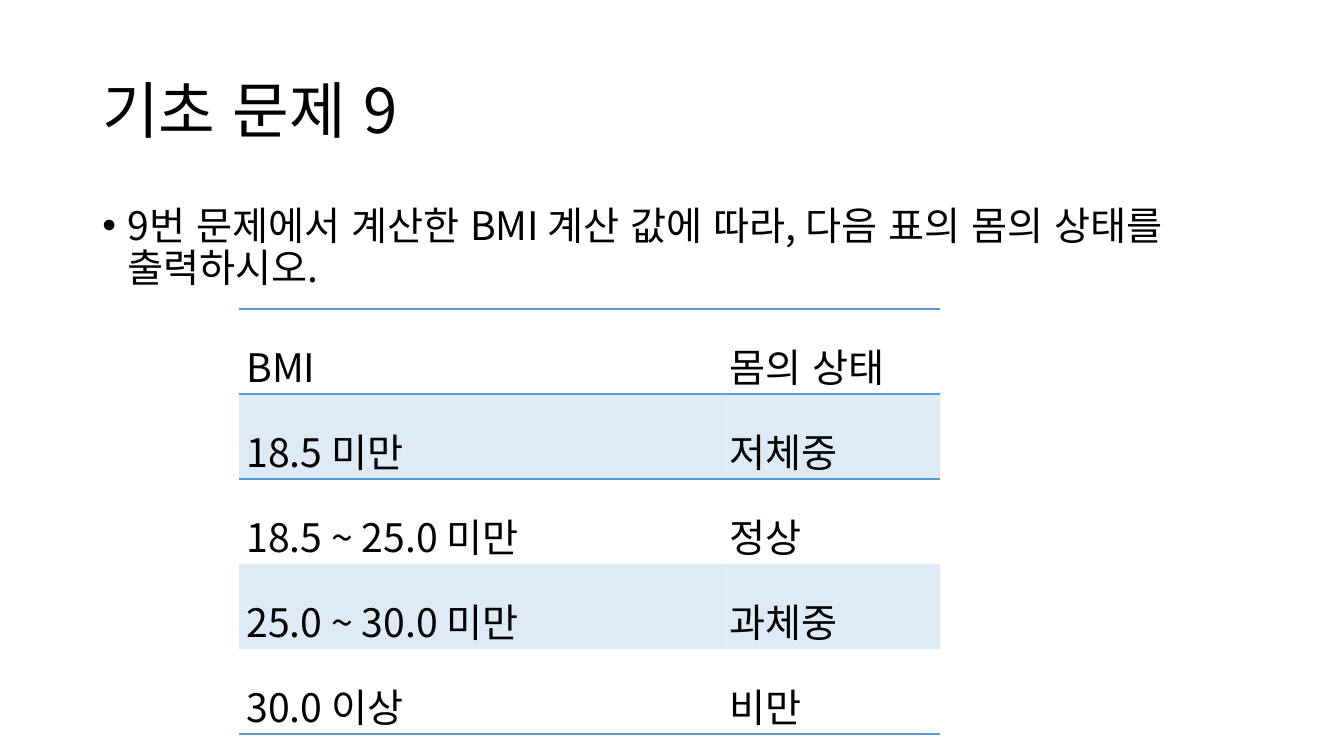
"""Build a slide that lists body conditions by BMI range."""
from dataclasses import dataclass
from typing import Optional

from lxml import etree
from pptx import Presentation
from pptx.dml.color import RGBColor
from pptx.enum.lang import MSO_LANGUAGE_ID
from pptx.enum.text import MSO_ANCHOR, PP_ALIGN
from pptx.oxml.ns import qn
from pptx.util import Pt

KOREAN = MSO_LANGUAGE_ID.KOREAN
MIDDLE = MSO_ANCHOR.MIDDLE
TOP = MSO_ANCHOR.TOP
JUSTIFY = PP_ALIGN.JUSTIFY
LEFT = PP_ALIGN.LEFT
NO_TABLE_STYLE = "{2D5ABB26-0587-4C30-8999-92F81FD0307C}"


@dataclass(frozen=True)
class Theme:
    font: str = "Noto Sans CJK KR"
    text: str = "000000"
    accent: str = "5B9BD5"
    band_opacity: int = 20
    title_size: float = 44
    body_size: float = 28
    rule_width: float = 1.5


@dataclass(frozen=True)
class TextBlock:
    text: str
    top: float
    height: float
    size: float
    anchor: MSO_ANCHOR
    bullet: Optional[str] = None


@dataclass(frozen=True)
class BmiRow:
    bmi: str
    condition: str
    edges: tuple = ()
    banded: bool = False


THEME = Theme()
TEXT_LEFT, TEXT_WIDTH, BULLET_INDENT = 66, 828, 18
TABLE_LEFT, TABLE_TOP, ROW_HEIGHT = 170.7, 220.7, 60.7
COLUMN_WIDTHS = (345, 156)
CELL_MARGIN = 5.4

TEXT_BLOCKS = (
    TextBlock("기초 문제 9", 28.8, 104.4, THEME.title_size, MIDDLE),
    TextBlock("9번 문제에서 계산한 BMI 계산 값에 따라, 다음 표의 몸의 상태를 출력하시오.",
              143.75, 342.6, THEME.body_size, TOP, "•"),
)
BMI_ROWS = (
    BmiRow("BMI", "몸의 상태", edges=("a:lnT", "a:lnB")),
    BmiRow("18.5 미만", "저체중", edges=("a:lnT",), banded=True),
    BmiRow("18.5 ~ 25.0 미만", "정상"),
    BmiRow("25.0 ~ 30.0 미만", "과체중", banded=True),
    BmiRow("30.0 이상", "비만", edges=("a:lnB",)),
)


def write_text(text_frame, text: str, *, size: float, line_spacing: float,
               alignment: PP_ALIGN = LEFT, bullet: Optional[str] = None) -> None:
    """Write one formatted paragraph into a text frame."""
    paragraph = text_frame.paragraphs[0]
    if bullet:
        properties = paragraph._p.get_or_add_pPr()
        properties.set("marL", str(Pt(BULLET_INDENT)))
        properties.set("indent", str(-Pt(BULLET_INDENT)))
        etree.SubElement(properties, qn("a:buFont"), typeface="Arial")
        etree.SubElement(properties, qn("a:buChar"), char=bullet)
    paragraph.alignment = alignment
    paragraph.line_spacing = line_spacing
    run = paragraph.add_run()
    run.text = text
    run.font.size = Pt(size)
    run.font.name = THEME.font
    run.font.language_id = KOREAN
    run.font.color.rgb = RGBColor.from_string(THEME.text)
    etree.SubElement(run._r.get_or_add_rPr(), qn("a:ea"), typeface=THEME.font)


def add_text_block(slide, block: TextBlock) -> None:
    """Add a wrapped text box for a title or body text."""
    shape = slide.shapes.add_textbox(Pt(TEXT_LEFT), Pt(block.top), Pt(TEXT_WIDTH), Pt(block.height))
    shape.text_frame.word_wrap = True
    shape.text_frame.vertical_anchor = block.anchor
    write_text(shape.text_frame, block.text, size=block.size, line_spacing=0.9, bullet=block.bullet)


def add_cell_edge(cell, edge: str) -> None:
    """Draw one accent-coloured border on a cell."""
    line = etree.SubElement(cell._tc.get_or_add_tcPr(), qn(edge), w=str(Pt(THEME.rule_width)))
    fill = etree.SubElement(line, qn("a:solidFill"))
    etree.SubElement(fill, qn("a:srgbClr"), val=THEME.accent)
    etree.SubElement(line, qn("a:prstDash"), val="solid")


def format_cell(cell, text: str, row: BmiRow) -> None:
    """Fill in one table cell with its text, borders and band."""
    cell.margin_left = cell.margin_right = Pt(CELL_MARGIN)
    cell.margin_top = cell.margin_bottom = Pt(0)
    write_text(cell.text_frame, text, size=THEME.body_size, line_spacing=1.5, alignment=JUSTIFY)
    for edge in row.edges:
        add_cell_edge(cell, edge)
    if row.banded:
        cell.fill.solid()
        cell.fill.fore_color.rgb = RGBColor.from_string(THEME.accent)
        color = cell._tc.tcPr.find(qn("a:solidFill")).find(qn("a:srgbClr"))
        etree.SubElement(color, qn("a:alpha"), val=str(THEME.band_opacity * 1000))
    else:
        cell.fill.background()


def add_bmi_table(slide) -> None:
    """Add the table of BMI ranges and body conditions."""
    table = slide.shapes.add_table(
        len(BMI_ROWS), len(COLUMN_WIDTHS), Pt(TABLE_LEFT), Pt(TABLE_TOP),
        Pt(sum(COLUMN_WIDTHS)), Pt(ROW_HEIGHT * len(BMI_ROWS))).table
    table.horz_banding = False
    table._tbl.tblPr.find(qn("a:tableStyleId")).text = NO_TABLE_STYLE
    for column, width in zip(table.columns, COLUMN_WIDTHS):
        column.width = Pt(width)
    for table_row, row in zip(table.rows, BMI_ROWS):
        for cell, text in zip(table_row.cells, (row.bmi, row.condition)):
            format_cell(cell, text, row)


def main() -> None:
    """Build and save the presentation."""
    presentation = Presentation()
    presentation.slide_width, presentation.slide_height = Pt(960), Pt(540)
    slide = presentation.slides.add_slide(presentation.slide_layouts[6])
    for block in TEXT_BLOCKS:
        add_text_block(slide, block)
    add_bmi_table(slide)
    presentation.save("out.pptx")


if __name__ == "__main__":
    main()
